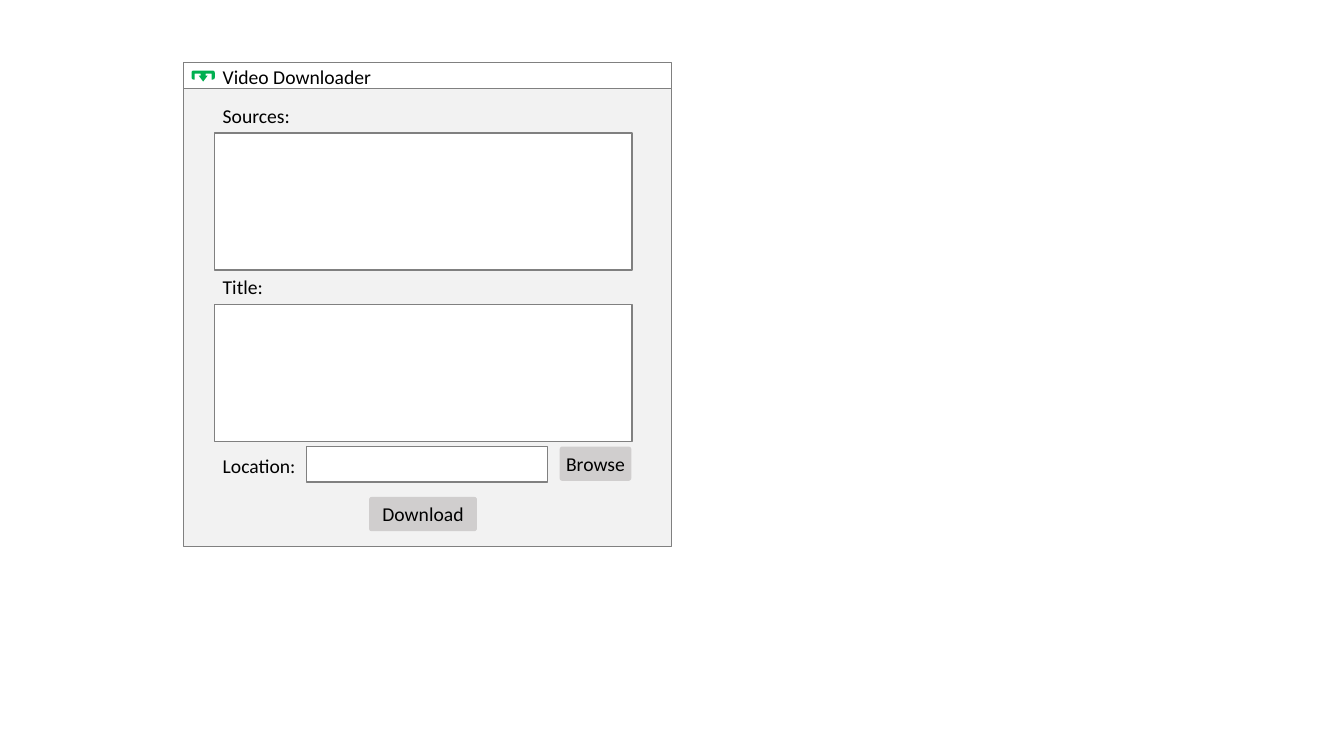
from lxml import etree
from pptx import Presentation
from pptx.dml.color import RGBColor
from pptx.enum.shapes import MSO_SHAPE
from pptx.enum.text import MSO_ANCHOR, MSO_AUTO_SIZE, PP_ALIGN
from pptx.util import Inches, Pt

RECT = MSO_SHAPE.RECTANGLE
ROUNDED = MSO_SHAPE.ROUNDED_RECTANGLE
MIDDLE = MSO_ANCHOR.MIDDLE
CENTER = PP_ALIGN.CENTER
FIT_SHAPE = MSO_AUTO_SIZE.SHAPE_TO_FIT_TEXT

SLIDE_W, SLIDE_H = Inches(13.33), Inches(7.5)
WHITE, PANEL, BORDER = "FFFFFF", "F2F2F2", "808080"
BUTTON, ICON, INK = "D0CECE", "00B050", "000000"

# Shares of the slide's width and height, in percent
WINDOW_X, WINDOW_W = 13.65, 36.31
TITLE_Y, TITLE_H, PANEL_H = 8.27, 3.47, 60.53
LABEL_X, LABEL_H = 15.83, 4.53
FIELD_X, FIELD_W, FIELD_H = 15.98, 31.06, 18.13
FIRST_LABEL_Y, FIRST_FIELD_Y, FIELD_STEP = 13.07, 17.6, 22.67
LOCATION_Y, BUTTON_H = 59.07, 4.53

# Right half of the arrow icon, from its top edge to its tip
ICON_HALF = [(9.5, 0), (11, 0.5), (11.5, 2), (11.5, 7), (11, 8.5), (9.5, 9),
             (8.5, 9), (8.5, 3), (2.5, 3), (2.5, 5), (4.5, 5), (0, 11)]


def area(x, y, w, h):
    """Turn percentages of the slide into lengths."""
    return [round(share * size / 100) for share, size in
            ((x, SLIDE_W), (y, SLIDE_H), (w, SLIDE_W), (h, SLIDE_H))]


def paint(shape, fill, border=None):
    shape.shadow.inherit = False
    shape.fill.solid()
    shape.fill.fore_color.rgb = RGBColor.from_string(fill)
    if border:
        shape.line.color.rgb = RGBColor.from_string(border)
        shape.line.width = Pt(1)
    else:
        shape.line.fill.background()


def write(frame, text):
    frame.text = text
    font = frame.paragraphs[0].runs[0].font
    font.name, font.size = "Calibri", Pt(14)
    font.color.rgb = RGBColor.from_string(INK)


def add_box(slide, x, y, w, h, fill=WHITE):
    paint(slide.shapes.add_shape(RECT, *area(x, y, w, h)), fill, BORDER)


def add_label(slide, text, y, w):
    frame = slide.shapes.add_textbox(*area(LABEL_X, y, w, LABEL_H)).text_frame
    frame.word_wrap = False
    frame.auto_size = FIT_SHAPE
    write(frame, text)


def add_button(slide, text, x, y, w):
    button = slide.shapes.add_shape(ROUNDED, *area(x, y, w, BUTTON_H))
    button.adjustments[0] = 0.076
    paint(button, BUTTON)
    frame = button.text_frame
    frame.margin_left = frame.margin_right = 0
    frame.vertical_anchor = MIDDLE
    write(frame, text)
    frame.paragraphs[0].alignment = CENTER


def add_download_icon(slide, x, y):
    """Mirror the half outline around the icon's centre line."""
    left_half = [(-dx, dy) for dx, dy in reversed(ICON_HALF[:-1])]
    outline = [(10 * dx, 10 * dy) for dx, dy in ICON_HALF + left_half]
    builder = slide.shapes.build_freeform(*outline[0], scale=SLIDE_W / 13330)
    builder.add_line_segments(outline[1:], close=True)
    origin_x, origin_y = area(x, y, 0, 0)[:2]
    paint(builder.convert_to_shape(origin_x, origin_y), ICON)


def main():
    deck = Presentation()
    deck.slide_width, deck.slide_height = SLIDE_W, SLIDE_H
    slide = deck.slides.add_slide(deck.slide_layouts[6])

    add_box(slide, WINDOW_X, TITLE_Y + TITLE_H, WINDOW_W, PANEL_H, PANEL)
    add_box(slide, WINDOW_X, TITLE_Y, WINDOW_W, TITLE_H)
    add_label(slide, "Video Downloader", 7.87, 12.98)
    add_download_icon(slide, 15.12, 9.33)

    for row, (text, width) in enumerate([("Sources:", 6.53), ("Title:", 4.58)]):
        offset = row * FIELD_STEP
        add_box(slide, FIELD_X, FIRST_FIELD_Y + offset, FIELD_W, FIELD_H)
        add_label(slide, text, FIRST_LABEL_Y + offset, width)

    add_box(slide, 22.81, LOCATION_Y, 17.93, 4.67)
    add_label(slide, "Location:", 59.33, 6.98)
    add_button(slide, "Browse", 41.64, LOCATION_Y, 5.33)
    add_button(slide, "Download", 27.46, 65.73, 8.03)

    deck.save("out.pptx")


if __name__ == "__main__":
    main()
